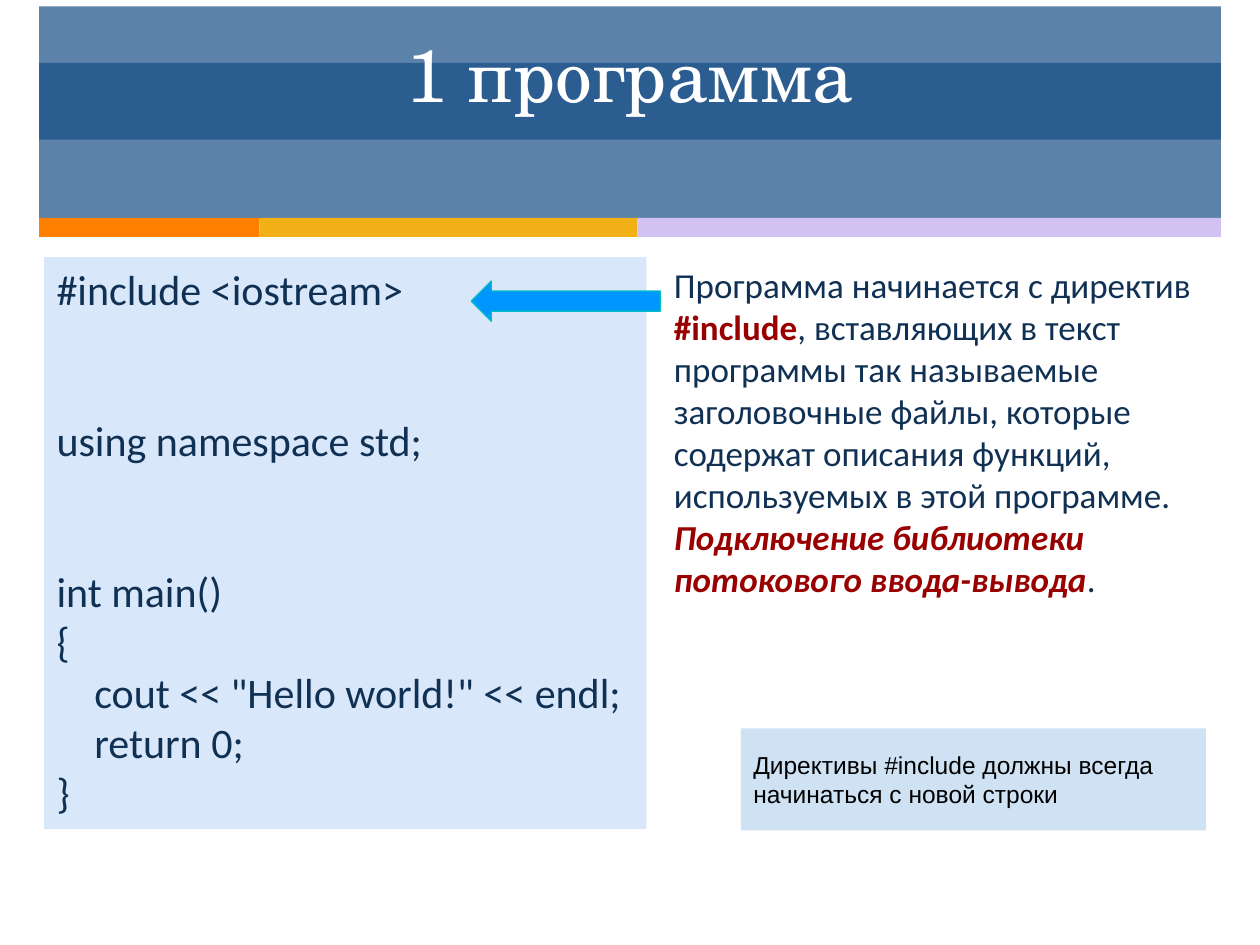
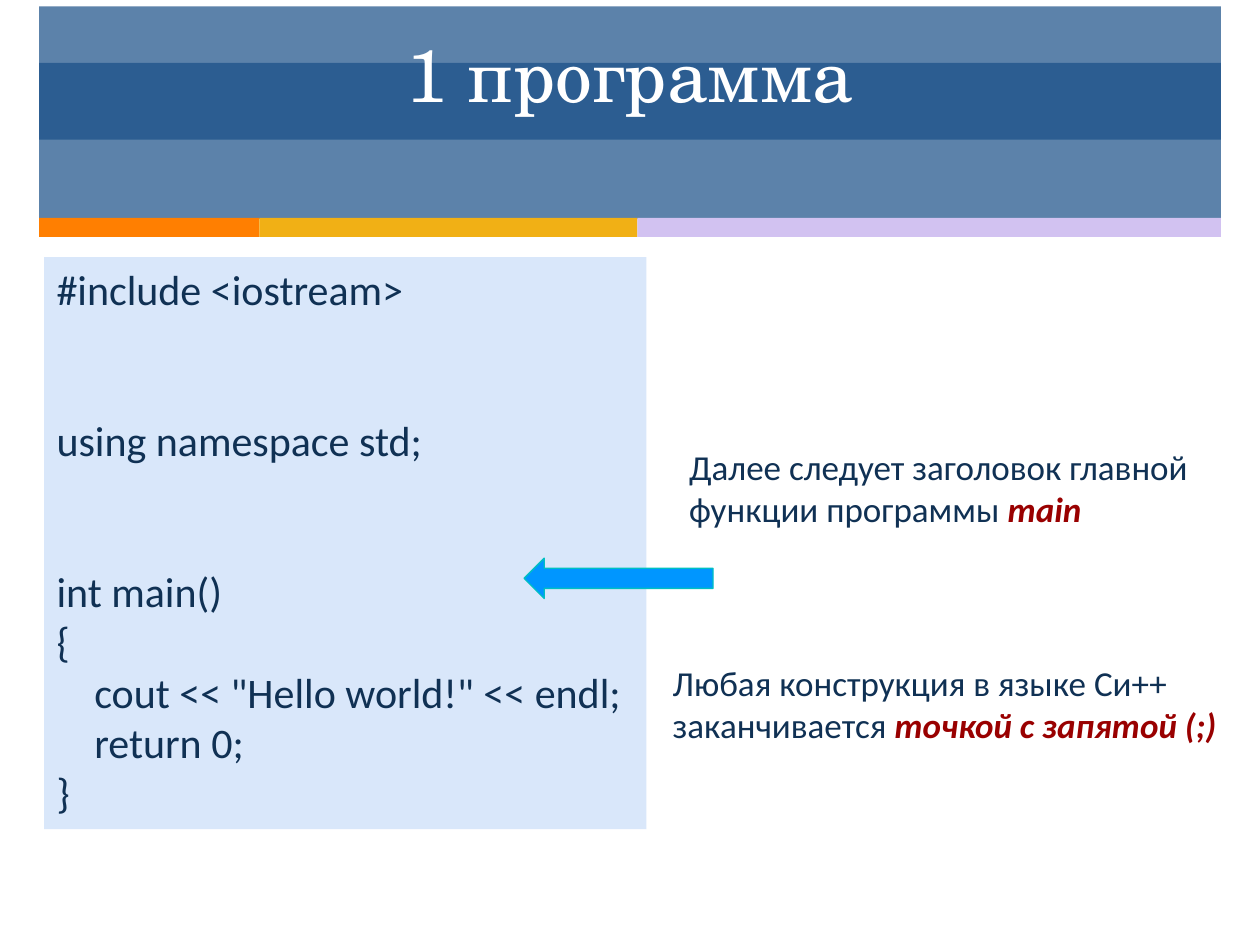
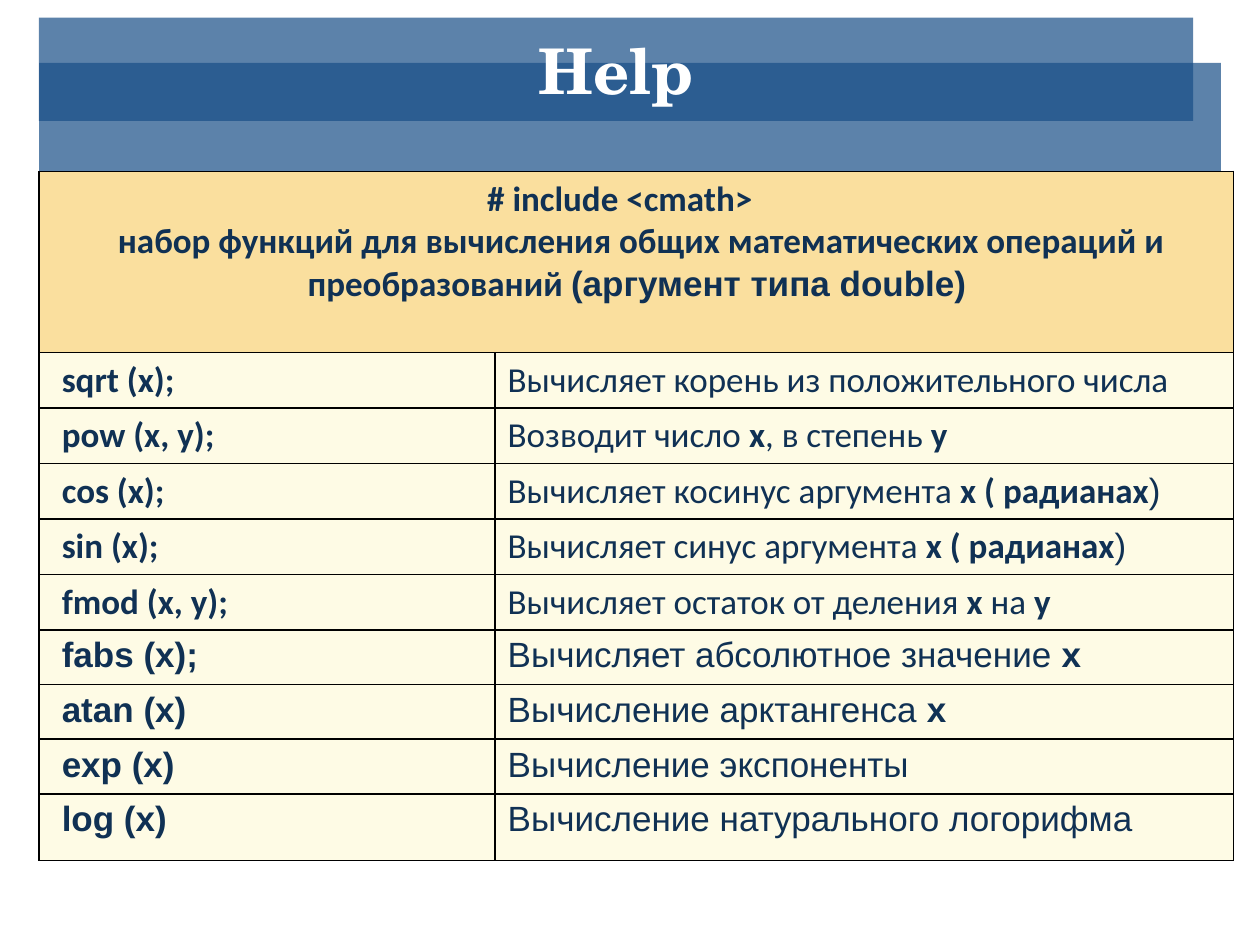
from dataclasses import dataclass

from lxml import etree
from pptx import Presentation
from pptx import util as u
from pptx.dml.color import RGBColor
from pptx.enum import shapes, text
from pptx.oxml import ns


@dataclass(frozen=True)
class Theme:
    band: str = "184E87"
    band_opacity: int = 70
    ink: str = "103154"
    accent: str = "990000"
    white: str = "FFFFFF"
    black: str = "000000"
    code_panel: str = "D9E7FA"
    note_panel: str = "CFE2F3"
    arrow: str = "0096FF"
    arrow_edge: str = "00BFC3"
    heading_cell: str = "FADF9E"
    body_cell: str = "FEFBE5"
    title_font: str = "TeX Gyre Schola"
    body_font: str = "Calibri"
    note_font: str = "Arial"
    title_size: int = 42
    help_size: int = 36
    code_size: int = 24
    body_size: int = 20
    note_size: int = 14


THEME = Theme()
LEFT = 0.31
STRIPES = [(1.75, "FF7F01"), (3, "F1B015"), (4.63, "D2C2F1")]
CODE_BOX = (0.35, 2.04, 4.78, 4.54)
CODE_GAP = 57.5
CODE_INDENT = 0.3

CODE = [
    ("#include <iostream>", 0, 0),
    ("using namespace std;", 1, 0),
    ("int main()", 1, 0),
    ("{", 0, 0),
    ('cout << "Hello world!" << endl;', 0, 1),
    ("return 0;", 0, 1),
    ("}", 0, 0),
]

PROGRAM_SLIDES = [
    {
        "title": "1 программа",
        "remarks": [
            ((5.25, 2.04, 4.31, 2.98), [
                [("Программа начинается с директив ", ""),
                 ("#include", "key bold"),
                 (", вставляющих в текст программы так называемые заголовочные файлы, "
                  "которые содержат описания функций, используемых в этой программе. ", ""),
                 ("Подключение библиотеки", "key bold italic")],
                [("потокового ввода-вывода", "key bold italic"), (".", "")],
            ]),
        ],
        "arrow": (3.74, 2.23),
        "note": "Директивы #include должны всегда начинаться с новой строки",
    },
    {
        "title": "1 программа",
        "remarks": [
            ((5.37, 3.49, 4.31, 0.94), [
                [("Далее следует заголовок главной функции программы ", ""),
                 ("main", "key bold italic")],
            ]),
            ((5.24, 5.2, 4.65, 0.94), [
                [("Любая конструкция в языке Си++ заканчивается ", ""),
                 ("точкой с запятой (;)", "key bold italic")],
            ]),
        ],
        "arrow": (4.16, 4.43),
        "note": None,
    },
]

HELP_TITLE = "Help"
HELP_HEADING = [
    [("# include <cmath>", "bold")],
    [("набор функций для вычисления общих математических операций и преобразований ", "bold"),
     ("(аргумент типа double) ", "bold arial")],
]
RADIANS = [("х ( радианах", "bold"), (")", "arial")]
FUNCTIONS = [
    ("sqrt (x);", [("Вычисляет корень из положительного числа", "")]),
    ("pow (x, y);", [("Возводит число ", ""), ("х", "bold"),
                     (", в степень ", ""), ("y", "bold")]),
    ("cos (x);", [("Вычисляет косинус аргумента ", "")] + RADIANS),
    ("sin (x);", [("Вычисляет синус аргумента ", "")] + RADIANS),
    ("fmod (x, y);", [("Вычисляет остаток от деления ", ""), ("х", "bold"),
                      (" на ", ""), ("y", "bold")]),
    ("fabs (x);", [("Вычисляет абсолютное значение ", ""), ("х", "bold")]),
    ("atan (x)", [("Вычисление арктангенса ", ""), ("x", "bold")]),
    ("exp (x)", [("Вычисление экспоненты", "")]),
    ("log (x)", [("Вычисление натурального логорифма", "")]),
]
FIRST_ARIAL = 5
HELP_COLUMNS = [3.62, 5.86]
HELP_ROWS = [1.44] + [0.44] * 5 + [0.41, 0.41, 0.42, 0.53]


def inches(*lengths):
    return [u.Inches(length) for length in lengths]


def rgb(value):
    return RGBColor.from_string(value)


def add_block(slide, box, fill, kind=shapes.MSO_SHAPE.RECTANGLE, opacity=None):
    block = slide.shapes.add_shape(kind, *inches(*box))
    block.shadow.inherit = False
    block.fill.solid()
    block.fill.fore_color.rgb = rgb(fill)
    block.line.fill.background()
    if opacity:
        color = block.fill._xPr.find(".//" + ns.qn("a:srgbClr"))
        etree.SubElement(color, ns.qn("a:alpha"), val=str(opacity * 1000))
    return block


def write(frame, paragraphs, size=THEME.body_size, font=THEME.body_font, color=THEME.ink,
          align=text.PP_ALIGN.LEFT, anchor=text.MSO_ANCHOR.TOP):
    frame.word_wrap = True
    frame.vertical_anchor = anchor
    for index, runs in enumerate(paragraphs):
        paragraph = frame.paragraphs[0] if index == 0 else frame.add_paragraph()
        paragraph.alignment = align
        paragraph.font.size = u.Pt(size)
        paragraph.font.name = font
        paragraph.font.color.rgb = rgb(color)
        for words, style in runs:
            run = paragraph.add_run()
            run.text = words
            if "bold" in style:
                run.font.bold = True
            if "italic" in style:
                run.font.italic = True
            if "key" in style:
                run.font.color.rgb = rgb(THEME.accent)
            if "arial" in style:
                run.font.name = THEME.note_font


def indent(paragraph, left, first=0, right=0):
    properties = paragraph._p.get_or_add_pPr()
    for name, length in (("marL", left), ("marR", right), ("indent", first)):
        properties.set(name, str(u.Inches(length)))


def start_slide(deck, title, box=(LEFT, 0.05, 9.38, 1.06), size=THEME.title_size, style=""):
    slide = deck.slides.add_slide(deck.slide_layouts[6])
    add_block(slide, (LEFT, 0.5, 9.38, 1.24), THEME.band, opacity=THEME.band_opacity)
    left = LEFT
    for width, color in STRIPES:
        add_block(slide, (left, 1.73, width, 0.15), color)
        left += width
    heading = add_block(slide, box, THEME.band, opacity=THEME.band_opacity)
    write(heading.text_frame, [[(title, style)]], size, THEME.title_font, THEME.white,
          text.PP_ALIGN.CENTER, text.MSO_ANCHOR.MIDDLE)
    return slide


def add_code(slide):
    frame = add_block(slide, CODE_BOX, THEME.code_panel).text_frame
    write(frame, [[(line, "")] for line, _, _ in CODE], THEME.code_size)
    for paragraph, (_, gap, level) in zip(frame.paragraphs, CODE):
        if gap:
            paragraph.space_before = u.Pt(CODE_GAP)
        if level:
            indent(paragraph, level * CODE_INDENT)


def add_program_slide(deck, content):
    slide = start_slide(deck, content["title"])
    add_code(slide)
    for box, paragraphs in content["remarks"]:
        write(slide.shapes.add_textbox(*inches(*box)).text_frame, paragraphs)
    arrow = add_block(slide, (*content["arrow"], 1.5, 0.32), THEME.arrow,
                      shapes.MSO_SHAPE.LEFT_ARROW)
    arrow.line.color.rgb = rgb(THEME.arrow_edge)
    arrow.line.width = u.Pt(0.75)
    if content["note"]:
        frame = add_block(slide, (5.88, 5.78, 3.69, 0.81), THEME.note_panel).text_frame
        write(frame, [[(content["note"], "")]], THEME.note_size, THEME.note_font,
              THEME.black, anchor=text.MSO_ANCHOR.MIDDLE)


def style_cell(cell, fill):
    properties = cell._tc.get_or_add_tcPr()
    for side in ("lnL", "lnR", "lnT", "lnB"):
        border = etree.SubElement(properties, ns.qn("a:" + side), w=str(u.Pt(1)))
        paint = etree.SubElement(border, ns.qn("a:solidFill"))
        etree.SubElement(paint, ns.qn("a:srgbClr"), val=THEME.black)
    cell.fill.solid()
    cell.fill.fore_color.rgb = rgb(fill)


def add_help_slide(deck):
    slide = start_slide(deck, HELP_TITLE, (LEFT, 0.14, 9.16, 0.82), THEME.help_size, "bold")
    box = inches(LEFT, 1.36, sum(HELP_COLUMNS), sum(HELP_ROWS))
    table = slide.shapes.add_table(len(HELP_ROWS), len(HELP_COLUMNS), *box).table
    table.first_row = table.horz_banding = False
    for column, width in zip(table.columns, HELP_COLUMNS):
        column.width = u.Inches(width)
    for index, (row, height) in enumerate(zip(table.rows, HELP_ROWS)):
        row.height = u.Inches(height)
        for cell in row.cells:
            cell.margin_left = cell.margin_right = u.Inches(0.1)
            cell.margin_top = cell.margin_bottom = u.Inches(0.05)
            style_cell(cell, THEME.body_cell if index else THEME.heading_cell)

    heading = table.cell(0, 0)
    heading.merge(table.cell(0, 1))
    write(heading.text_frame, HELP_HEADING, align=text.PP_ALIGN.CENTER)
    include, summary = heading.text_frame.paragraphs
    indent(include, 0.09, -0.01, 0.34)
    indent(summary, 0.09, -0.01)

    for index, (call, meaning) in enumerate(FUNCTIONS):
        font = THEME.body_font if index < FIRST_ARIAL else THEME.note_font
        name, description = table.rows[index + 1].cells
        write(name.text_frame, [[(call, "bold")]], font=font)
        indent(name.text_frame.paragraphs[0], 0.09, -0.01)
        write(description.text_frame, [meaning], font=font)


def main():
    deck = Presentation()
    deck.slide_width, deck.slide_height = inches(10, 7.5)
    for content in PROGRAM_SLIDES:
        add_program_slide(deck, content)
    add_help_slide(deck)
    deck.save("out.pptx")


if __name__ == "__main__":
    main()
